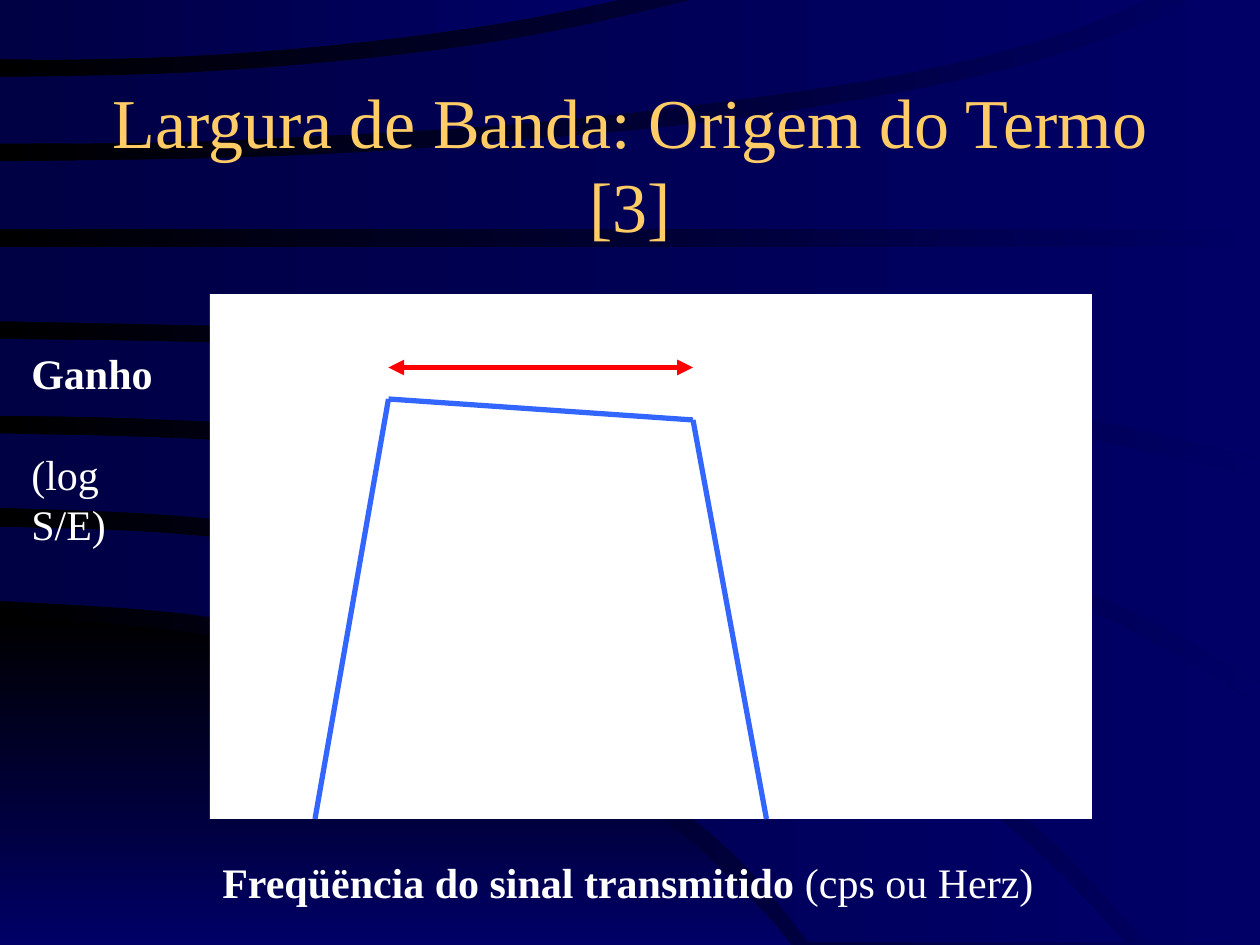
from lxml import etree
from pptx import Presentation
from pptx import util as u
from pptx.dml.color import RGBColor
from pptx.enum import shapes, text
from pptx.oxml.ns import qn

BLACK = RGBColor(0x00, 0x00, 0x00)
NAVY = RGBColor(0x00, 0x00, 0x44)
BLUE = RGBColor(0x00, 0x00, 0x66)
GOLD = RGBColor(0xFF, 0xCC, 0x66)
WHITE = RGBColor(0xFF, 0xFF, 0xFF)
CURVE = RGBColor(0x33, 0x66, 0xFF)
RED = RGBColor(0xFF, 0x00, 0x00)
FONT = "Times New Roman"
COLUMNS, ROWS = 120, 90  # grid of the slide, twelve cells to the inch

TITLE = [[("Largura de Banda: Origem do Termo [3]", False)]]
FREQUENCY = [[("Freqüëncia do sinal transmitido", True), (" (cps ou Herz)", False)]]
GAIN = [[("Ganho", True)], [("(log S/E)", False)]]

# Filter response and band width, in grid cells
PLOT = (20, 28, 84, 50)
RESPONSE = [(30, 78), (37, 38), (66, 40), (73, 78)]
BAND_ROW = 35

# Backdrop in inches: each band is a chain of edges, each edge a smooth curve
CORNER = [[(0, 4.91), (0.86, 4.95), (1.93, 5.09), (3.05, 5.38), (4.25, 5.86),
           (5.28, 6.51), (5.96, 7.13), (6.28, 7.5)], [(0, 7.5)]]
BANDS = [
    [[(0, 4.18), (1.3, 4.23), (2.49, 4.37), (3.82, 4.63), (5.15, 5.02), (6.44, 5.57),
      (7.66, 6.3), (8.33, 6.85), (8.93, 7.48)],
     [(6.42, 7.48), (5.82, 6.77), (4.92, 6.08), (3.76, 5.47), (2.68, 5.11),
      (1.48, 4.87), (0, 4.77)]],
    [[(0, 3.44), (1.44, 3.48), (2.89, 3.58), (4.26, 3.74), (5.7, 3.98), (6.93, 4.28),
      (8.18, 4.68), (9.04, 5.03), (10, 5.6)],
     [(10, 7.48)],
     [(9.09, 7.48), (8.38, 6.7), (7.56, 6.06), (6.36, 5.37), (5.21, 4.89),
      (4.05, 4.53), (2.67, 4.25), (1.4, 4.09), (0, 4.03)]],
    [[(0, 2.69), (1.68, 2.72), (3.49, 2.81), (5.23, 2.96), (6.62, 3.13), (8.16, 3.38),
      (10, 3.79)],
     [(10, 5.42), (9.12, 4.92), (8.17, 4.52), (7.11, 4.18), (5.6, 3.82), (4.06, 3.57),
      (2.55, 3.4), (1.09, 3.32), (0, 3.3)]],
    [[(0, 1.96), (10, 1.96)],
     [(10, 3.64), (8.65, 3.33), (7.02, 3.03), (5.52, 2.84), (3.89, 2.69), (2.28, 2.6),
      (0, 2.55)]],
    [[(0, 1.28), (1.57, 1.26), (2.86, 1.21), (4.2, 1.11), (5.54, 0.98), (6.84, 0.79),
      (8.03, 0.54), (8.92, 0.25), (9.43, 0)],
     [(10, 0)], [(10, 1.82)], [(0, 1.82)]],
    [[(0, 0.61), (1.21, 0.59), (2.33, 0.52), (3.47, 0.4), (4.45, 0.24), (5.5, 0)],
     [(9.1, 0), (8.3, 0.31), (7.15, 0.59), (5.77, 0.8), (4.25, 0.97), (2.7, 1.07),
      (1.26, 1.13), (0, 1.14)]],
    [[(0, 0)],
     [(4.9, 0), (3.99, 0.18), (2.89, 0.33), (1.73, 0.43), (0.67, 0.47), (0, 0.47)]],
]

deck = Presentation()
deck.slide_width, deck.slide_height = u.Inches(10), u.Inches(7.5)
page = deck.slides.add_slide(deck.slide_layouts[6])


def across(columns):
    return round(deck.slide_width * columns / COLUMNS)


def down(rows):
    return round(deck.slide_height * rows / ROWS)


def place(left, top, width, height):
    return across(left), down(top), across(width), down(height)


def smooth(knots, steps=4):
    """Points of a Catmull-Rom curve through the knots."""
    points = [knots[0]]
    padded = [knots[0], *knots, knots[-1]]
    for a, b, c, d in zip(padded, padded[1:], padded[2:], padded[3:]):
        for step in range(1, steps + 1):
            t = step / steps
            points.append(tuple(
                (2 * q + (r - p) * t + (2 * p - 5 * q + 4 * r - s) * t ** 2
                 + (3 * q - p - 3 * r + s) * t ** 3) / 2
                for p, q, r, s in zip(a, b, c, d)))
    return points


def shade(fill, first, last, angle=0):
    fill.gradient()
    fill.gradient_angle = angle
    for stop, color in zip(fill.gradient_stops, (first, last)):
        stop.color.rgb = color


def add_band(edges, first, last, angle=0):
    points = [(u.Inches(x), u.Inches(y)) for edge in edges for x, y in smooth(edge)]
    builder = page.shapes.build_freeform(*points[0], scale=1.0)
    builder.add_line_segments(points[1:], close=True)
    band = builder.convert_to_shape()
    band.shadow.inherit = False
    band.line.fill.background()
    shade(band.fill, first, last, angle)


def add_line(start, end, color, arrows=False):
    line = page.shapes.add_connector(
        shapes.MSO_CONNECTOR.STRAIGHT,
        across(start[0]), down(start[1]), across(end[0]), down(end[1]))
    line.line.color.rgb = color
    line.line.width = u.Pt(3)
    if arrows:
        for tag in ("a:headEnd", "a:tailEnd"):
            etree.SubElement(line.line._get_or_add_ln(), qn(tag), type="triangle")
    etree.SubElement(line._element.spPr, qn("a:effectLst"))


def add_text(area, paragraphs, size=24, color=WHITE, wrap=True, gap=0,
             align=text.PP_ALIGN.LEFT, anchor=text.MSO_ANCHOR.TOP):
    frame = page.shapes.add_textbox(*place(*area)).text_frame
    frame.word_wrap = wrap
    frame.vertical_anchor = anchor
    for index, spans in enumerate(paragraphs):
        para = frame.add_paragraph() if index else frame.paragraphs[0]
        para.alignment = align
        if index:
            para.space_before = u.Pt(gap)
        for words, bold in spans:
            span = para.add_run()
            span.text = words
            span.font.name, span.font.size, span.font.bold = FONT, u.Pt(size), bold
            span.font.color.rgb = color


shade(page.background.fill, BLACK, BLUE)
add_band(CORNER, BLACK, BLUE, angle=270)
for edges in BANDS:
    add_band(edges, NAVY, BLUE)

add_text((9, 8, 102, 15), TITLE, size=40, color=GOLD,
         align=text.PP_ALIGN.CENTER, anchor=text.MSO_ANCHOR.MIDDLE)

plot = page.shapes.add_shape(shapes.MSO_SHAPE.RECTANGLE, *place(*PLOT))
plot.shadow.inherit = False
plot.fill.solid()
plot.fill.fore_color.rgb = WHITE
plot.line.fill.background()

for start, end in zip(RESPONSE, RESPONSE[1:]):
    add_line(start, end, CURVE)
add_line((RESPONSE[1][0], BAND_ROW), (RESPONSE[2][0], BAND_ROW), RED, arrows=True)

add_text((20, 81, 86.4, 6), FREQUENCY)
add_text((1.8, 32.5, 16.9, 15.6), GAIN, wrap=False, gap=29)

deck.save("out.pptx")
